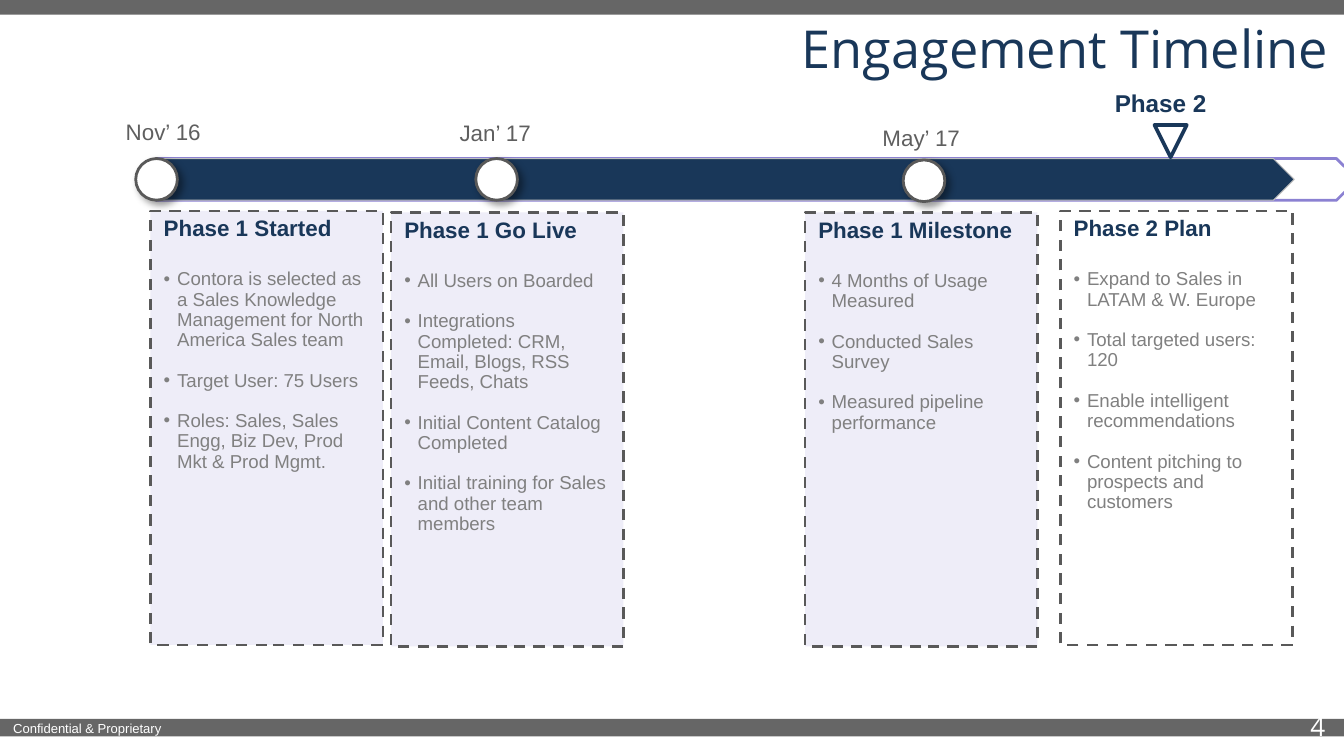
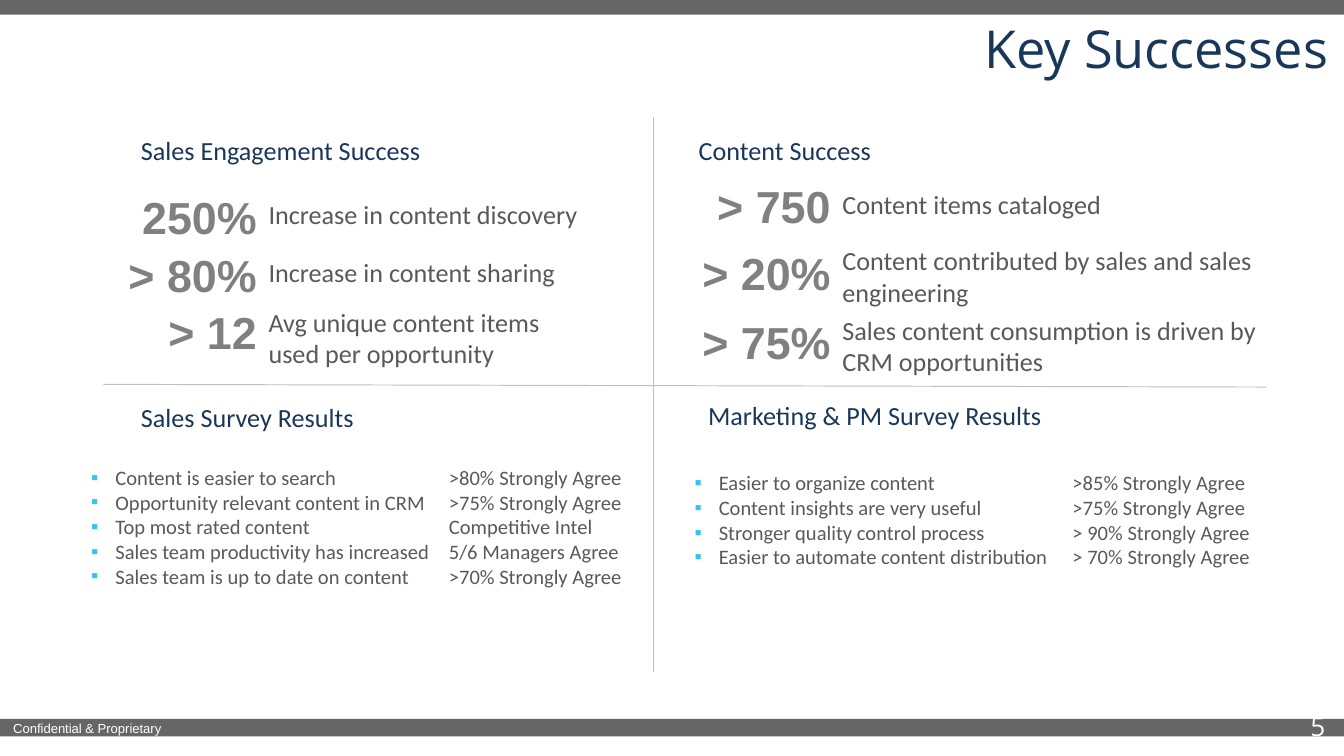
"""Build the engagement timeline and key successes slides."""
from dataclasses import dataclass
from typing import Any

from lxml.etree import SubElement
from pptx import Presentation
from pptx.dml.color import RGBColor
from pptx.enum.dml import MSO_LINE_DASH_STYLE as Dash
from pptx.enum.shapes import MSO_CONNECTOR as Connector, MSO_SHAPE as Preset
from pptx.enum.text import MSO_ANCHOR as Anchor, MSO_AUTO_SIZE as Fit, PP_ALIGN as Align
from pptx.oxml.ns import qn
from pptx.util import Inches, Pt

COLORS = {
    "white": "FFFFFF", "band": "666666", "navy": "193759", "violet": "8B81D2",
    "rule": "BFBFBF", "outline": "595959", "date": "5F5F5F", "muted": "808080",
    "body": "595959", "marker": "32C4F3", "shadow": "000000",
}


@dataclass(frozen=True)
class Style:
    """Font and paragraph look of one kind of text."""

    font: str
    size: float
    color: str
    bold: bool = False
    align: Align = Align.LEFT
    spacing: float = 1.0


@dataclass(frozen=True)
class Phase:
    """One dashed card below the timeline."""

    left: float
    top: float
    heading: str
    points: tuple[str, ...]
    tint: str = "violet"


@dataclass(frozen=True)
class Milestone:
    """One dated dot on the timeline."""

    date: str
    date_left: float
    date_top: float
    dot_left: float
    dot_top: float = 1.18


@dataclass(frozen=True)
class Metric:
    """One large figure with its explanation."""

    figure: str
    figure_top: float
    meaning: str
    meaning_top: float


@dataclass(frozen=True)
class Quadrant:
    """One headed quarter of the successes slide."""

    heading: str
    left: float
    top: float


@dataclass(frozen=True)
class Survey:
    """Survey statements and the answers beside them."""

    left: float
    top: float
    answer_left: float
    rows: tuple[tuple[str, str], ...]


STYLES = {
    "title": Style("Open Sans", 28, "navy", align=Align.RIGHT),
    "number": Style("Open Sans", 14, "white", align=Align.RIGHT),
    "footer": Style("Arial", 7, "white"),
    "date": Style("Arial", 12, "date", align=Align.CENTER, spacing=0.9),
    "flag": Style("Arial", 13, "navy", True, Align.CENTER, 0.9),
    "phase": Style("Arial", 12, "navy", True, spacing=0.9),
    "point": Style("Arial", 10, "muted", spacing=0.9),
    "figure": Style("Arial", 24, "muted", True, Align.RIGHT),
    "quadrant": Style("Calibri", 14, "navy"),
    "meaning": Style("Calibri", 14, "body"),
    "survey": Style("Calibri", 11, "body"),
}

PHASES = (
    Phase(1.12, 1.57, "Phase 1 Started", (
        "Contora is selected as a Sales Knowledge Management for North America Sales team",
        "Target User: 75 Users",
        "Roles: Sales, Sales Engg, Biz Dev, Prod Mkt & Prod Mgmt.")),
    Phase(2.91, 1.58, "Phase 1 Go Live", (
        "All Users on Boarded",
        "Integrations Completed: CRM, Email, Blogs, RSS Feeds, Chats",
        "Initial Content Catalog Completed",
        "Initial training for Sales and other team members")),
    Phase(5.99, 1.58, "Phase 1 Milestone", (
        "4 Months of Usage Measured",
        "Conducted Sales Survey",
        "Measured pipeline performance")),
    Phase(7.89, 1.57, "Phase 2 Plan", (
        "Expand to Sales in LATAM & W. Europe",
        "Total targeted users: 120",
        "Enable intelligent recommendations",
        "Content pitching to prospects and customers"), "white"),
)
MILESTONES = (
    Milestone("Nov’ 16", 0.94, 0.9, 1.01),
    Milestone("Jan’ 17", 3.41, 0.91, 3.54),
    Milestone("May’ 17", 6.58, 0.95, 6.72, 1.19),
)
QUADRANTS = (
    Quadrant("Sales Engagement Success", 0.95, 0.9),
    Quadrant("Content Success", 5.1, 0.9),
    Quadrant("Sales Survey Results", 0.95, 2.89),
    Quadrant("Marketing & PM Survey Results", 5.17, 2.87),
)
METRICS = {
    (1.9, 2.6): (
        Metric("250%", 1.35, "Increase in content discovery", 1.38),
        Metric("> 80%", 1.78, "Increase in content sharing", 1.81),
        Metric("> 12", 2.21, "Avg unique content items used per opportunity", 2.18)),
    (6.17, 3.47): (
        Metric("> 750", 1.27, "Content items cataloged", 1.3),
        Metric("> 20%", 1.77, "Content contributed by sales and sales engineering", 1.72),
        Metric("> 75%", 2.28, "Sales content consumption is driven by CRM opportunities", 2.24)),
}
SURVEYS = (
    Survey(0.56, 3.36, 3.34, (
        ("Content is easier to search", ">80% Strongly Agree"),
        ("Opportunity relevant content in CRM", ">75% Strongly Agree"),
        ("Top most rated content", "Competitive Intel"),
        ("Sales team productivity has increased", "5/6 Managers Agree"),
        ("Sales team is up to date on content", ">70% Strongly Agree"))),
    Survey(5.05, 3.4, 7.98, (
        ("Easier to organize content", ">85% Strongly Agree"),
        ("Content insights are very useful", ">75% Strongly Agree"),
        ("Stronger quality control process", "> 90% Strongly Agree"),
        ("Easier to automate content distribution", "> 70% Strongly Agree"))),
)


def rgb(name: str) -> RGBColor:
    """Look up a palette colour."""
    return RGBColor.from_string(COLORS[name])


def assign(target: Any, values: dict[str, Any]) -> None:
    """Set every named attribute on the target."""
    for name, value in values.items():
        setattr(target, name, value)


def box(left: float, top: float, width: float, height: float) -> tuple[int, ...]:
    """Turn inch figures into lengths."""
    return tuple(Inches(side) for side in (left, top, width, height))


def prepare(frame: Any, inset: tuple[float, float], anchor: Anchor = Anchor.TOP,
            wrap: bool = True) -> None:
    """Set horizontal and vertical insets, anchor and wrapping."""
    across, down = (Inches(side) for side in inset)
    assign(frame, {"margin_left": across, "margin_right": across, "margin_top": down,
                   "margin_bottom": down, "vertical_anchor": anchor,
                   "word_wrap": wrap, "auto_size": Fit.NONE})


def write(paragraph: Any, text: str, style: Style, before: float = 0) -> None:
    """Write one styled paragraph."""
    assign(paragraph, {"alignment": style.align, "line_spacing": style.spacing,
                       "space_before": Pt(before)})
    run = paragraph.add_run()
    run.text = text
    assign(run.font, {"name": style.font, "size": Pt(style.size), "bold": style.bold})
    run.font.color.rgb = rgb(style.color)


def bullet(paragraph: Any, mark: str, indent: float, hang: float, color: str = "") -> None:
    """Give a paragraph a hanging bullet."""
    props = paragraph._p.get_or_add_pPr()
    props.set("marL", str(Inches(indent)))
    props.set("indent", str(-Inches(hang)))
    if color:
        SubElement(SubElement(props, qn("a:buClr")), qn("a:srgbClr"), val=COLORS[color])
    SubElement(props, qn("a:buFont"), typeface="Arial")
    SubElement(props, qn("a:buChar"), char=mark)


def add_text(slide: Any, bounds: tuple[int, ...], lines: list[str], style: Style,
             inset: tuple[float, float] = (0, 0), **layout: Any) -> Any:
    """Add a text box with one paragraph per line."""
    frame = slide.shapes.add_textbox(*bounds).text_frame
    prepare(frame, inset, **layout)
    for index, line in enumerate(lines):
        write(frame.add_paragraph() if index else frame.paragraphs[0], line, style)
    return frame


def add_preset(slide: Any, preset: Preset, bounds: tuple[int, ...], fill: str,
               line: str = "", weight: float = 1.5, opacity: int = 100) -> Any:
    """Add a filled preset shape without a shadow."""
    shape = slide.shapes.add_shape(preset, *bounds)
    shape.shadow.inherit = False
    shape.fill.solid()
    shape.fill.fore_color.rgb = rgb(fill)
    if opacity < 100:
        tint = shape._element.spPr.find(qn("a:solidFill"))[0]
        SubElement(tint, qn("a:alpha"), val=str(opacity * 1000))
    if line:
        shape.line.color.rgb = rgb(line)
        shape.line.width = Pt(weight)
    else:
        shape.line.fill.background()
    return shape


def add_rule(slide: Any, start: tuple[float, float], end: tuple[float, float]) -> None:
    """Add a thin divider."""
    rule = slide.shapes.add_connector(Connector.STRAIGHT, *map(Inches, start + end))
    rule.line.color.rgb = rgb("rule")
    rule.line.width = Pt(0.5)
    SubElement(rule._element.spPr, qn("a:effectLst"))


def add_page(deck: Any, heading: str, number: int) -> Any:
    """Add a slide with bands, footer, number and title."""
    slide = deck.slides.add_slide(deck.slide_layouts[5])
    add_preset(slide, Preset.RECTANGLE, box(0, 5.35, 10, 0.13), "band")
    add_preset(slide, Preset.RECTANGLE, box(0, 0, 10.03, 0.11), "band")
    add_text(slide, box(0, 5.31, 1.32, 0.22), ["Confidential & Proprietary"],
             STYLES["footer"], (0.1, 0.05), wrap=False)
    add_text(slide, box(9.36, 5.19, 0.6, 0.43), [str(number)], STYLES["number"],
             (0.1, 0.1), anchor=Anchor.MIDDLE)
    title = slide.shapes.title
    assign(title, dict(zip(("left", "top", "width", "height"), box(1.59, 0.12, 8.39, 0.57))))
    prepare(title.text_frame, (0.1, 0.1), Anchor.BOTTOM)
    write(title.text_frame.paragraphs[0], heading, STYLES["title"])
    return slide


def add_phase(slide: Any, phase: Phase) -> None:
    """Draw a dashed phase card."""
    card = add_preset(slide, Preset.RECTANGLE, box(phase.left, phase.top, 1.73, 3.23),
                      phase.tint, "outline", opacity=14)
    card.line.dash_style = Dash.DASH
    frame = card.text_frame
    prepare(frame, (0.1, 0.05))
    write(frame.paragraphs[0], phase.heading, STYLES["phase"])
    for index, point in enumerate(phase.points):
        paragraph = frame.add_paragraph()
        write(paragraph, point, STYLES["point"], 10.9 if index else 15)
        bullet(paragraph, "•", 0.1, 0.1)


def add_milestone(slide: Any, milestone: Milestone) -> None:
    """Draw a shadowed dot with its date."""
    dot = add_preset(slide, Preset.OVAL, box(milestone.dot_left, milestone.dot_top, 0.31, 0.31),
                     "white", "outline")
    shade = SubElement(dot._element.spPr.find(qn("a:effectLst")), qn("a:outerShdw"),
                       blurRad=str(Pt(4)), dist=str(Pt(3)), dir=str(45 * 60000))
    tone = SubElement(shade, qn("a:srgbClr"), val=COLORS["shadow"])
    SubElement(tone, qn("a:alpha"), val="40000")
    add_text(slide, box(milestone.date_left, milestone.date_top, 0.55, 0.24),
             [milestone.date], STYLES["date"], wrap=False)


def add_survey(slide: Any, survey: Survey) -> None:
    """Draw bulleted statements with a column of answers."""
    statements, answers = (list(column) for column in zip(*survey.rows))
    width = survey.answer_left - survey.left
    frame = add_text(slide, box(survey.left, survey.top, width, 1.2), statements,
                     STYLES["survey"], (0.1, 0.1))
    frame.margin_right = 0
    for paragraph in frame.paragraphs:
        bullet(paragraph, "▪", 0.2, 0.18, "marker")
    add_text(slide, box(survey.answer_left, survey.top, 1.5, 1.2), answers,
             STYLES["survey"], (0, 0.1))


def build_timeline(deck: Any) -> None:
    """Build the engagement timeline slide."""
    slide = add_page(deck, "Engagement Timeline", 4)
    add_preset(slide, Preset.PENTAGON, box(1.16, 1.18, 8.94, 0.31), "white", "violet", opacity=50)
    add_preset(slide, Preset.PENTAGON, box(1.16, 1.18, 8.47, 0.31), "navy", "rule", 0.5)
    for milestone in MILESTONES:
        add_milestone(slide, milestone)
    for phase in PHASES:
        add_phase(slide, phase)
    pointer = add_preset(slide, Preset.ISOSCELES_TRIANGLE, box(8.59, 0.93, 0.24, 0.24),
                         "white", "navy", 2)
    pointer.rotation = 180
    add_text(slide, box(7.9, 0.68, 1.47, 0.26), ["Phase 2"], STYLES["flag"], wrap=False)


def build_successes(deck: Any) -> None:
    """Build the key successes slide."""
    slide = add_page(deck, "Key Successes", 5)
    add_rule(slide, (4.86, 0.87), (4.86, 5))
    add_rule(slide, (0.77, 2.86), (9.42, 2.88))
    for quadrant in QUADRANTS:
        add_text(slide, box(quadrant.left, quadrant.top, 3, 0.43), [quadrant.heading],
                 STYLES["quadrant"], (0.1, 0.1))
    for (split, width), metrics in METRICS.items():
        for metric in metrics:
            add_text(slide, box(split - 1.01, metric.figure_top, 1.02, 0.52), [metric.figure],
                     STYLES["figure"], anchor=Anchor.MIDDLE)
            add_text(slide, box(split, metric.meaning_top, width, 0.5), [metric.meaning],
                     STYLES["meaning"], (0.1, 0.1))
    for survey in SURVEYS:
        add_survey(slide, survey)


def main() -> None:
    """Build and save the deck."""
    deck = Presentation()
    assign(deck, {"slide_width": Inches(10), "slide_height": Inches(10) * 9 // 16})
    build_timeline(deck)
    build_successes(deck)
    deck.save("out.pptx")


main()
